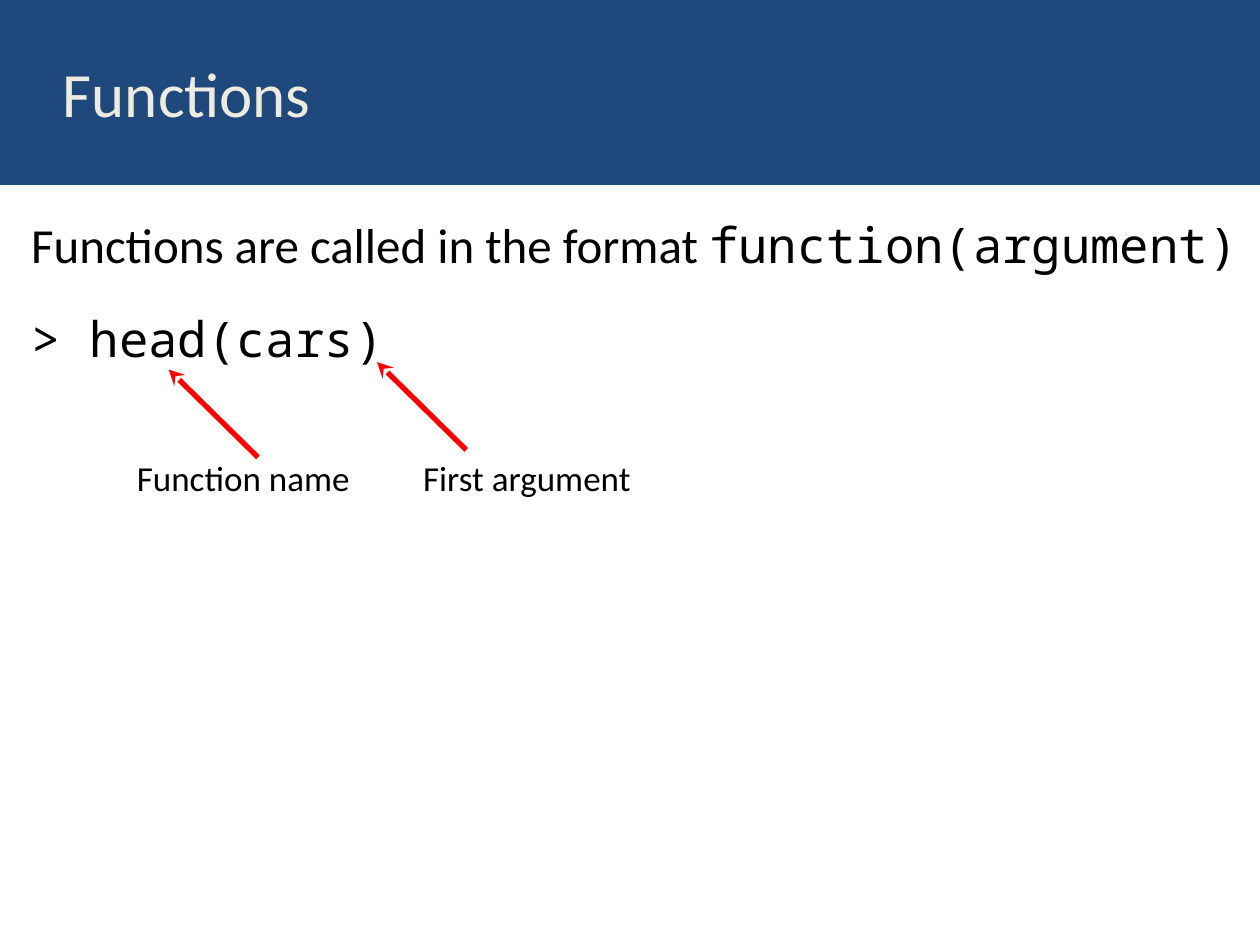
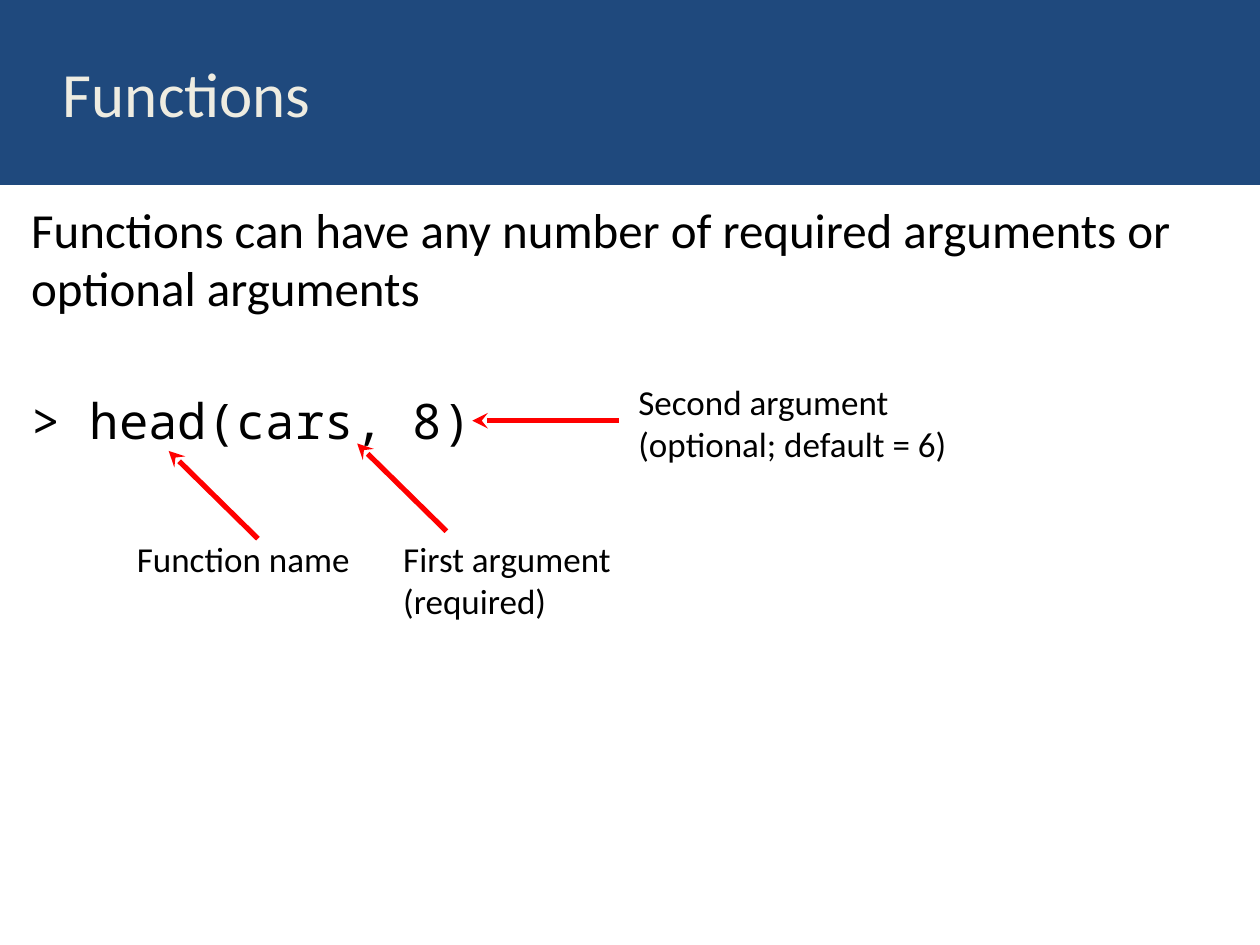
from dataclasses import dataclass
from typing import Any

import lxml.etree
import pptx
import pptx.dml.color
import pptx.enum.shapes
import pptx.enum.text
import pptx.oxml.ns
import pptx.util

Cm = pptx.util.Cm
Pt = pptx.util.Pt


@dataclass(frozen=True)
class Theme:
    band: str = "1F497D"
    title: str = "EEECE1"
    ink: str = "000000"
    arrow: str = "FF0000"
    sans: str = "Calibri"
    mono: str = "Noto Sans Mono"
    title_size: int = 36
    body_size: int = 28
    label_size: int = 20
    arrow_width: int = 3


@dataclass(frozen=True)
class Box:
    left: float
    top: float
    width: float
    height: float

    def lengths(self) -> list[pptx.util.Length]:
        return [Cm(value) for value in (self.left, self.top, self.width, self.height)]


@dataclass(frozen=True)
class TextRun:
    text: str
    font: str
    size: int
    color: str


@dataclass(frozen=True)
class Callout:
    """Arrow tip, arrow run and label, with heights measured from the code line."""

    text: str
    tip: tuple[float, float]
    run: tuple[float, float]
    label: Box


@dataclass(frozen=True)
class FunctionSlide:
    intro: list[TextRun]
    intro_box: Box
    code: str
    code_top: float
    callouts: list[Callout]


THEME = Theme()
SLIDE_WIDTH, SLIDE_HEIGHT = 25.4, 19.05
TITLE_BAND = Box(0, 0, SLIDE_WIDTH, 3.73)
TEXT_LEFT, TEXT_WIDTH = 0.38, 25.02
CODE_HEIGHT = 1.45
LABEL_DROP = 2.97
DIAGONAL = (1.8, 1.77)


def apply_format(target: Any, values: dict[str, Any]) -> None:
    for name, value in values.items():
        setattr(target, name, value)


def rgb(color: str) -> pptx.dml.color.RGBColor:
    return pptx.dml.color.RGBColor.from_string(color)


def write_text(shape: Any, runs: list[TextRun], frame_format: dict[str, Any]) -> None:
    apply_format(shape.text_frame, {"word_wrap": True, **frame_format})
    paragraph = shape.text_frame.paragraphs[0]
    paragraph.alignment = pptx.enum.text.PP_ALIGN.LEFT
    for text_run in runs:
        run = paragraph.add_run()
        run.text = text_run.text
        apply_format(run.font, {"name": text_run.font, "size": Pt(text_run.size)})
        run.font.color.rgb = rgb(text_run.color)


def add_text(slide: Any, box: Box, runs: list[TextRun]) -> None:
    write_text(slide.shapes.add_textbox(*box.lengths()), runs, {})


def add_title(slide: Any, title: str) -> None:
    shape = slide.shapes.add_shape(
        pptx.enum.shapes.MSO_SHAPE.RECTANGLE, *TITLE_BAND.lengths()
    )
    shape.shadow.inherit = False
    shape.fill.solid()
    shape.fill.fore_color.rgb = rgb(THEME.band)
    shape.line.fill.background()
    write_text(
        shape,
        [TextRun(title, THEME.sans, THEME.title_size, THEME.title)],
        {
            "vertical_anchor": pptx.enum.text.MSO_ANCHOR.MIDDLE,
            "margin_left": Cm(1.27),
            "margin_top": 0,
            "margin_right": 0,
            "margin_bottom": 0,
        },
    )


def add_arrow(slide: Any, start: tuple[float, float], tip: tuple[float, float]) -> None:
    connector = slide.shapes.add_connector(
        pptx.enum.shapes.MSO_CONNECTOR.STRAIGHT,
        *(Cm(value) for value in (*start, *tip)),
    )
    connector.line.color.rgb = rgb(THEME.arrow)
    connector.line.width = Pt(THEME.arrow_width)
    qualified = pptx.oxml.ns.qn
    properties = connector.element.find(qualified("p:spPr"))
    line = properties.find(qualified("a:ln"))
    lxml.etree.SubElement(line, qualified("a:tailEnd"), type="stealth")
    lxml.etree.SubElement(properties, qualified("a:effectLst"))


def add_callout(slide: Any, callout: Callout, code_top: float) -> None:
    tip_left, tip_top = callout.tip[0], code_top + callout.tip[1]
    start = (tip_left + callout.run[0], tip_top + callout.run[1])
    add_arrow(slide, start, (tip_left, tip_top))
    label = callout.label
    label_box = Box(label.left, code_top + label.top, label.width, label.height)
    add_text(slide, label_box, [sans(callout.text, THEME.label_size)])


def sans(text: str, size: int = THEME.body_size) -> TextRun:
    return TextRun(text, THEME.sans, size, THEME.ink)


def mono(text: str) -> TextRun:
    return TextRun(text, THEME.mono, THEME.body_size, THEME.ink)


def function_name() -> Callout:
    return Callout(
        "Function name", (3.4, 1.35), DIAGONAL, Box(2.51, LABEL_DROP, 5.08, 1.12)
    )


def first_argument(text: str, tip_left: float, width: float, height: float) -> Callout:
    label = Box(tip_left + 0.68, LABEL_DROP, width, height)
    return Callout(text, (tip_left, 1.2), DIAGONAL, label)


FUNCTION_SLIDES = [
    FunctionSlide(
        intro=[sans("Functions are called in the format "), mono("function(argument)")],
        intro_box=Box(TEXT_LEFT, 4.19, TEXT_WIDTH, 2.64),
        code="> head(cars)",
        code_top=6.1,
        callouts=[function_name(), first_argument("First argument", 7.6, 5.08, 1.12)],
    ),
    FunctionSlide(
        intro=[
            sans(
                "Functions can have any number of required arguments "
                "or optional arguments"
            )
        ],
        intro_box=Box(TEXT_LEFT, 3.89, TEXT_WIDTH, 3.84),
        code="> head(cars, 8)",
        code_top=7.74,
        callouts=[
            function_name(),
            first_argument("First argument (required)", 7.2, 4.83, 1.96),
            Callout(
                "Second argument (optional; default = 6)",
                (9.52, 0.74),
                (2.95, 0),
                Box(12.62, -0.2, 7.37, 1.96),
            ),
        ],
    ),
]


def add_function_slide(presentation: Any, content: FunctionSlide) -> None:
    slide = presentation.slides.add_slide(presentation.slide_layouts[6])
    add_title(slide, "Functions")
    code_box = Box(TEXT_LEFT, content.code_top, TEXT_WIDTH, CODE_HEIGHT)
    add_text(slide, code_box, [mono(content.code)])
    add_text(slide, content.intro_box, content.intro)
    for callout in content.callouts:
        add_callout(slide, callout, content.code_top)


def main() -> None:
    presentation = pptx.Presentation()
    apply_format(
        presentation,
        {"slide_width": Cm(SLIDE_WIDTH), "slide_height": Cm(SLIDE_HEIGHT)},
    )
    for content in FUNCTION_SLIDES:
        add_function_slide(presentation, content)
    presentation.save("out.pptx")


if __name__ == "__main__":
    main()
